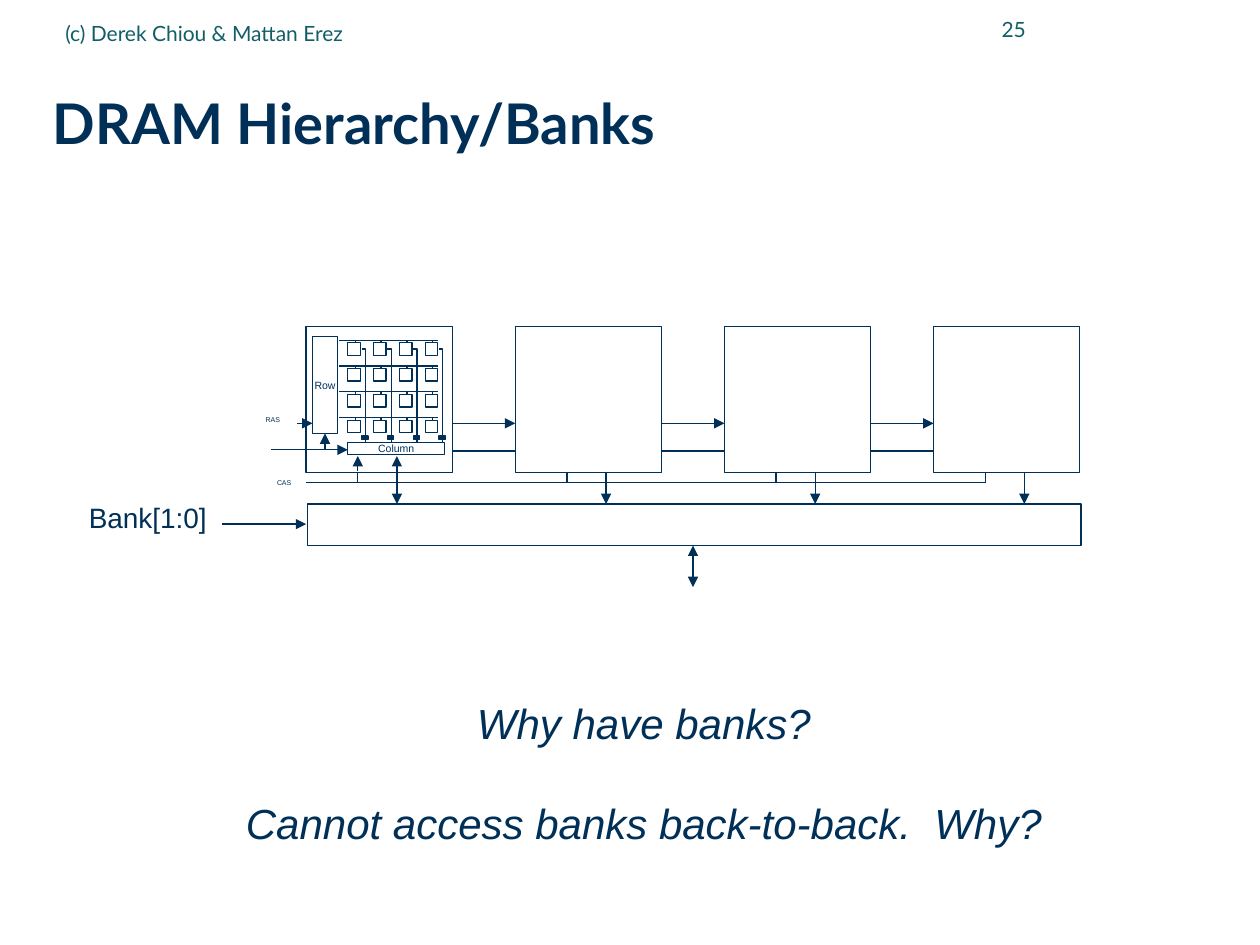
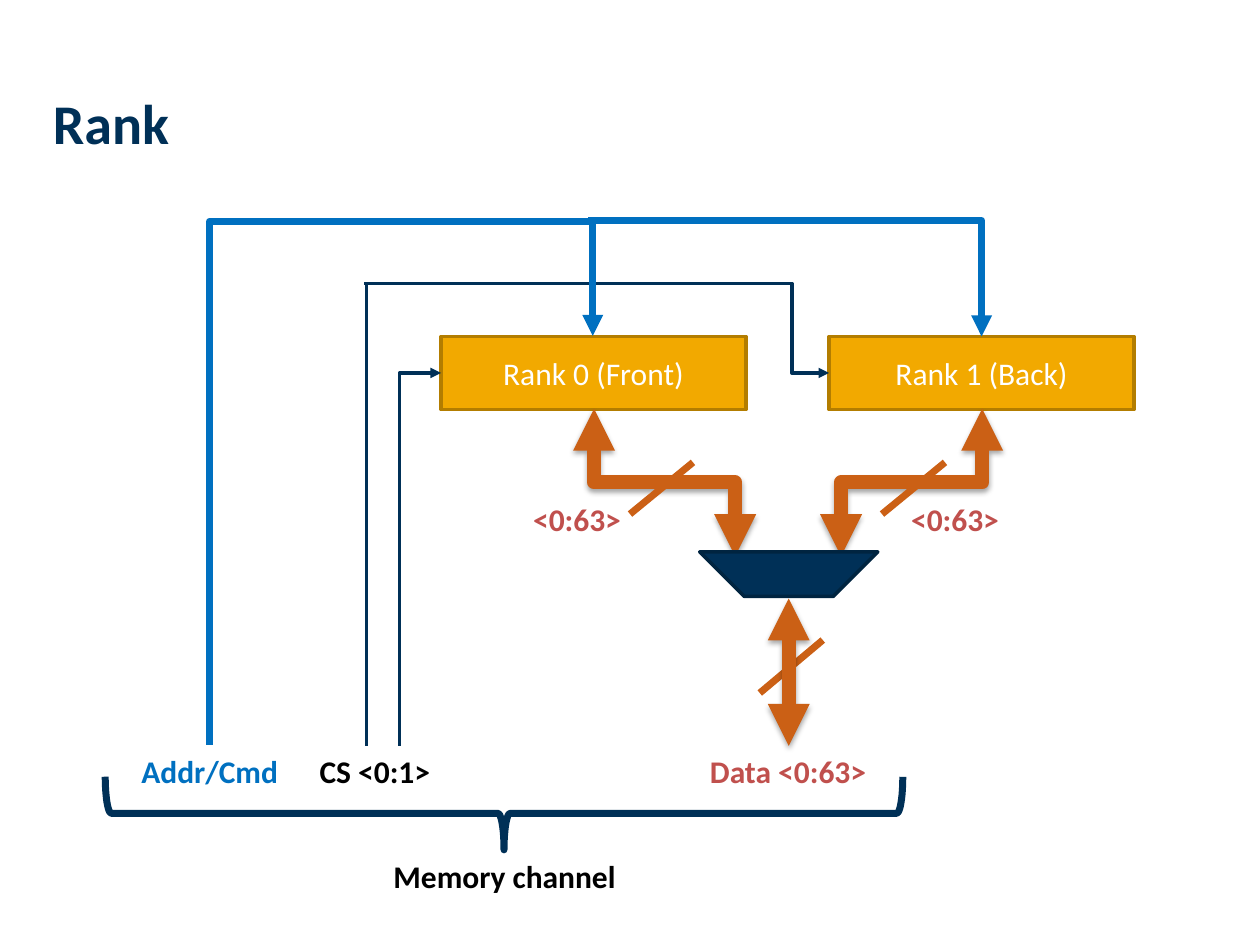
"""Build two slides on DRAM banks and ranks."""
from dataclasses import dataclass
from typing import Optional

from lxml import etree
from pptx import Presentation
from pptx import util as u
from pptx.dml.color import RGBColor
from pptx.enum import shapes, text
from pptx.oxml.ns import qn

NAVY, TEAL, BLUE, ORANGE = "003057", "115E67", "0070C0", "CB6015"
GOLD, RED, BLACK, WHITE = "F2A900", "C0504D", "000000", "FFFFFF"
LEFT, CENTER, RIGHT = text.PP_ALIGN.LEFT, text.PP_ALIGN.CENTER, text.PP_ALIGN.RIGHT
PRESET = shapes.MSO_SHAPE


@dataclass
class Style:
    size: float
    font: str = "Arial"
    color: str = NAVY
    bold: bool = False
    italic: bool = False
    align: int = LEFT


@dataclass
class Area:
    left: float
    top: float
    width: float
    height: float


@dataclass
class Stroke:
    color: str = NAVY
    width: float = 0.75
    head: bool = False
    tail: bool = False
    shadow: bool = False


@dataclass
class Elbow:
    area: Area
    turn: int
    flip: str
    bends: int
    stroke: Stroke
    site: int
    at_end: bool = False
    adjust: Optional[float] = None


THIN = Stroke()
ARROW = Stroke(tail=True)
DOUBLE = Stroke(head=True, tail=True)
DATA = Stroke(ORANGE, 8, True, True, True)
SLASH = Stroke(ORANGE, 4)
ADDRESS = Stroke(BLUE, 4, head=True)
SELECT = Stroke(NAVY, 2, head=True)


def inch(value: float) -> u.Length:
    return u.Cm(value * 2.54)


def place(area: Area) -> list:
    return [inch(v) for v in (area.left, area.top, area.width, area.height)]


def rgb(color: str) -> RGBColor:
    return RGBColor.from_string(color)


def apply_stroke(item, stroke: Stroke) -> None:
    item.line.color.rgb = rgb(stroke.color)
    item.line.width = u.Pt(stroke.width)
    line = item.line._get_or_add_ln()
    for name, used in (("a:headEnd", stroke.head), ("a:tailEnd", stroke.tail)):
        if used:
            etree.SubElement(line, qn(name), type="triangle")


def apply_effect(connector, stroke: Stroke) -> None:
    effects = etree.SubElement(connector._element.spPr, qn("a:effectLst"))
    if stroke.shadow:
        shadow = etree.SubElement(effects, qn("a:outerShdw"), blurRad="40000",
                                  dist="23000", dir="5400000", rotWithShape="0")
        color = etree.SubElement(shadow, qn("a:srgbClr"), val=BLACK)
        etree.SubElement(color, qn("a:alpha"), val="35000")


def write(item, lines: list[str], style: Style, wrap: bool = True, middle: bool = False,
          gap: float = 0) -> None:
    frame = item.text_frame
    frame.word_wrap = wrap
    frame.vertical_anchor = text.MSO_ANCHOR.MIDDLE if middle else text.MSO_ANCHOR.TOP
    for index, words in enumerate(lines):
        para = frame.add_paragraph() if index else frame.paragraphs[0]
        para.alignment = style.align
        if index:
            para.space_before = u.Pt(gap)
        span = para.add_run()
        span.text = words
        span.font.name, span.font.size = style.font, u.Pt(style.size)
        span.font.bold, span.font.italic = style.bold, style.italic
        span.font.color.rgb = rgb(style.color)


def add_text(page, area: Area, lines: list[str], style: Style, wrap: bool = True,
             middle: bool = False, gap: float = 0):
    box = page.shapes.add_textbox(*place(area))
    write(box, lines, style, wrap, middle, gap)
    return box


def add_title(page, words: str, font: str) -> None:
    box = add_text(page, Area(0.42, 0.5, 9.41, 0.98), [words],
                   Style(32, font, bold=True), middle=True)
    frame = box.text_frame
    frame.margin_left = frame.margin_right = frame.margin_top = frame.margin_bottom = 0
    frame.paragraphs[0].line_spacing = 0.99


def add_box(page, area: Area, fill: Optional[str] = None, stroke: Stroke = THIN,
            preset=PRESET.RECTANGLE, turn: float = 0):
    box = page.shapes.add_shape(preset, *place(area))
    box.shadow.inherit = False
    box.rotation = turn
    if fill:
        box.fill.solid()
        box.fill.fore_color.rgb = rgb(fill)
    else:
        box.fill.background()
    apply_stroke(box, stroke)
    return box


def add_line(page, x1: float, y1: float, x2: float, y2: float, stroke: Stroke = THIN) -> None:
    connector = page.shapes.add_connector(
        shapes.MSO_CONNECTOR.STRAIGHT, inch(x1), inch(y1), inch(x2), inch(y2))
    apply_stroke(connector, stroke)
    apply_effect(connector, stroke)


def add_elbow(page, elbow: Elbow, target) -> None:
    connector = page.shapes.add_connector(shapes.MSO_CONNECTOR.ELBOW, 0, 0, 0, 0)
    attach = connector.end_connect if elbow.at_end else connector.begin_connect
    attach(target, elbow.site)
    connector.left, connector.top, connector.width, connector.height = place(elbow.area)
    properties = connector._element.spPr
    frame = properties.find(qn("a:xfrm"))
    frame.set("rot", str(elbow.turn * 60000))
    for axis in "hv":
        frame.set("flip" + axis.upper(), str(int(axis in elbow.flip)))
    geometry = properties.find(qn("a:prstGeom"))
    geometry.set("prst", f"bentConnector{elbow.bends}")
    if elbow.adjust is not None:
        guides = geometry.find(qn("a:avLst"))
        etree.SubElement(guides, qn("a:gd"), name="adj1",
                         fmla=f"val {round(elbow.adjust * 100000)}")
    apply_stroke(connector, elbow.stroke)
    apply_effect(connector, elbow.stroke)


def add_bit_line(page, left: float) -> None:
    builder = page.shapes.build_freeform(inch(left), inch(2.77), scale=1.0)
    builder.add_line_segments([(inch(left + 0.03), inch(2.77)),
                               (inch(left + 0.03), inch(3.51))], close=False)
    wire = builder.convert_to_shape()
    wire.shadow.inherit = False
    wire.fill.background()
    apply_stroke(wire, THIN)


def draw_cells(page) -> None:
    steps = [0.205 * index for index in range(4)]
    for down in steps:
        add_line(page, 2.69, 2.7 + down, 3.48, 2.7 + down)
        for across in steps:
            add_box(page, Area(2.76 + across, 2.72 + down, 0.1, 0.1))
            add_line(page, 2.82 + across, 2.7 + down, 2.82 + across, 2.72 + down)
    for across in steps:
        add_bit_line(page, 2.87 + across)
        add_box(page, Area(2.87 + across, 3.46, 0.05, 0.03), NAVY)


def draw_first_bank(page) -> None:
    add_box(page, Area(2.43, 2.59, 1.16, 1.16))
    draw_cells(page)
    decoder = Style(6, align=CENTER)
    row = add_box(page, Area(2.48, 2.67, 0.2, 0.77))
    write(row, ["Row"], decoder, wrap=False, middle=True)
    column = add_box(page, Area(2.76, 3.51, 0.77, 0.1))
    write(column, ["Column"], decoder, wrap=False, middle=True)
    add_line(page, 2.2, 3.57, 2.76, 3.57, ARROW)
    add_elbow(page, Elbow(Area(2.15, 3.44, 0.43, 0.13), 0, "v", 2, ARROW, 2, True), row)
    add_line(page, 2.36, 3.36, 2.48, 3.36, ARROW)
    add_line(page, 2.84, 3.74, 2.84, 3.62, ARROW)


def draw_banks(page) -> None:
    pitch = 1.66
    draw_first_bank(page)
    for index in range(4):
        shift = pitch * index
        add_line(page, 3.15 + shift, 3.62, 3.15 + shift, 4, DOUBLE)
        add_line(page, 2.84 + shift, 3.75, 2.84 + shift, 3.83)
        if index:
            start, end = 1.93 + shift, 2.43 + shift
            add_line(page, start, 3.36, end, 3.36, ARROW)
            add_line(page, start, 3.58, end, 3.58)
            add_box(page, Area(end, 2.59, 1.16, 1.16), WHITE)
    add_line(page, 2.43, 3.83, 7.82, 3.83)
    add_box(page, Area(2.44, 4, 6.14, 0.33))
    add_line(page, 1.76, 4.16, 2.43, 4.16, ARROW)
    add_line(page, 5.5, 4.33, 5.5, 4.66, DOUBLE)


def build_banks_slide(page) -> None:
    add_title(page, "DRAM Hierarchy/Banks", "Lato")
    add_text(page, Area(7.33, -0.02, 0.91, 0.5), ["25"],
             Style(12, "Lato", TEAL, align=RIGHT), middle=True)
    add_text(page, Area(0.42, 0.03, 5.67, 0.46), ["(c) Derek Chiou & Mattan Erez"],
             Style(12, "Lato", TEAL), middle=True)
    draw_banks(page)
    strobe = Style(4, align=CENTER)
    add_text(page, Area(2.01, 3.25, 0.31, 0.17), ["RAS"], strobe, wrap=False)
    add_text(page, Area(2.1, 3.75, 0.31, 0.17), ["CAS"], strobe, wrap=False)
    add_text(page, Area(0.6, 3.92, 1.14, 0.37), ["Bank[1:0]"],
             Style(16, align=RIGHT), wrap=False)
    add_text(page, Area(1.85, 5.49, 6.52, 1.3),
             ["Why have banks?", "Cannot access banks back-to-back.  Why?"],
             Style(24, italic=True, align=CENTER), wrap=False, gap=28)


def build_rank_slide(page) -> None:
    add_title(page, "Rank", "Calibri")
    ranks = []
    for left, words in ((3.5, "Rank 0 (Front)"), (6.58, "Rank 1 (Back)")):
        rank = add_box(page, Area(left, 2.67, 2.42, 0.58), GOLD, Stroke("B37D00", 2))
        write(rank, [words], Style(18, "Calibri", WHITE, align=CENTER), middle=True)
        ranks.append(rank)
    front, back = ranks
    add_line(page, 6.03, 5.5, 6.53, 5.08, SLASH)
    add_line(page, 6.26, 5.92, 6.26, 4.75, DATA)
    add_line(page, 2.91, 2.25, 2.91, 5.92, Stroke(NAVY, 2))
    for target, elbow in (
        (front, Elbow(Area(3.17, 2.96, 0.33, 2.96), 180, "v", 2, SELECT, 1)),
        (back, Elbow(Area(2.89, 2.25, 3.69, 0.71), 180, "", 3, SELECT, 1, adjust=0.08)),
        (front, Elbow(Area(1.56, 2.77, 3.25, 3.04), 270, "hv", 3, ADDRESS, 0, adjust=-0.28)),
        (back, Elbow(Area(5.77, 0.65, 0.92, 3.12), 270, "v", 2, ADDRESS, 0)),
        (front, Elbow(Area(4.69, 3.27, 1.17, 1.12), 270, "v", 3, DATA, 2, True, 0.5)),
        (back, Elbow(Area(6.65, 3.27, 1.17, 1.12), 90, "hv", 3, DATA, 2, True, 0.5)),
    ):
        add_elbow(page, elbow, target)
    add_box(page, Area(5.76, 3.88, 1, 1), NAVY, Stroke("002440", 2),
            PRESET.DIAGONAL_STRIPE, 225)
    for left in (5, 7):
        add_line(page, left, 4.08, left + 0.5, 3.67, SLASH)
    add_box(page, Area(3.71, 3.29, 0.58, 6.33), None, Stroke(NAVY, 4),
            PRESET.RIGHT_BRACE, 90)
    for left, top, width, words, color in (
        (5.42, 5.92, 1.67, "Data <0:63>", RED),
        (2.14, 5.92, 1.67, "CS <0:1>", BLACK),
        (0.83, 5.92, 1.67, "Addr/Cmd", BLUE),
        (7.08, 3.92, 1, "<0:63>", RED),
        (4.08, 3.92, 1, "<0:63>", RED),
        (2.92, 6.75, 2.17, "Memory channel", BLACK),
    ):
        add_text(page, Area(left, top, width, 0.4), [words],
                 Style(18, "Calibri", color, bold=True, align=CENTER))


def main() -> None:
    deck = Presentation()
    deck.slide_width, deck.slide_height = inch(10), inch(7.5)
    for build in (build_banks_slide, build_rank_slide):
        build(deck.slides.add_slide(deck.slide_layouts[6]))
    deck.save("out.pptx")


main()
